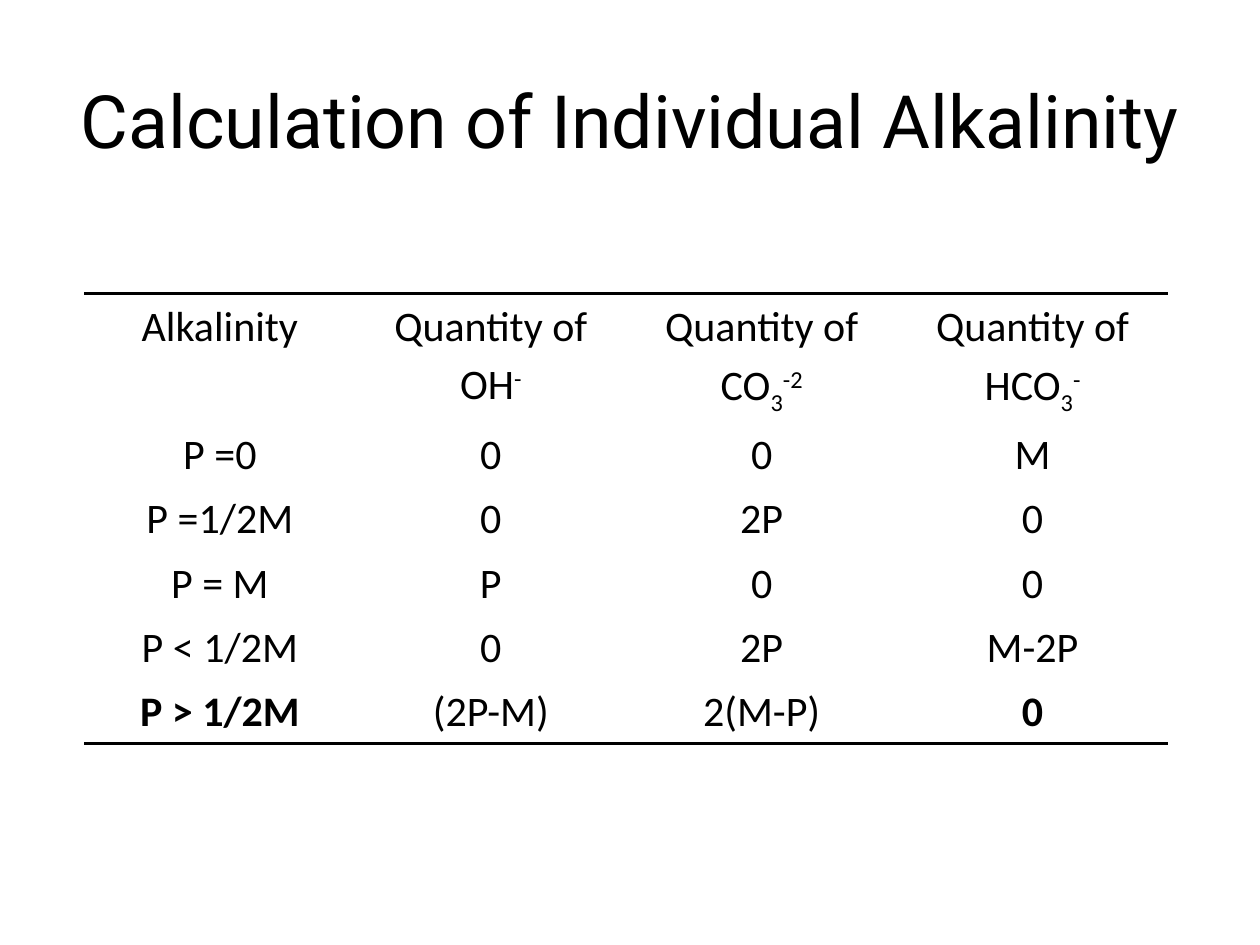
from lxml.etree import SubElement
from pptx import Presentation
from pptx.dml.color import RGBColor
from pptx.enum.text import MSO_ANCHOR as Anchor, PP_ALIGN as Align
from pptx.oxml.ns import qn
from pptx.util import Inches, Pt

BLACK = RGBColor(0, 0, 0)
WHITE = RGBColor(255, 255, 255)
WIDTH, HEIGHT = Inches(10), Inches(7.5)
COLUMN, ROW = Inches(2.15), Inches(0.51)
RULE = Pt(2)
SUB, SUPER = -25000, 30000

TITLE_FONT = {"name": "Roboto", "size": Pt(42)}
CELL_FONT = {"name": "Calibri", "size": Pt(24)}
CELL_FORMAT = {"margin_left": Inches(0.07), "margin_right": Inches(0.07),
               "margin_top": 0, "margin_bottom": 0}
TITLE_FORMAT = {"word_wrap": True, "vertical_anchor": Anchor.MIDDLE,
                "margin_left": 0, "margin_right": 0,
                "margin_top": 0, "margin_bottom": 0}
PLAIN_TABLE = {"first_row": False, "horz_banding": False}

IONS = [
    [("OH", 0), ("-", SUPER)],
    [("CO", 0), ("3", SUB), ("-2", SUPER)],
    [("HCO", 0), ("3", SUB), ("-", SUPER)],
]
CASES = [
    ["P =0", "0", "0", "M"],
    ["P =1/2M", "0", "2P", "0"],
    ["P = M", "P", "0", "0"],
    ["P < 1/2M", "0", "2P", "M-2P"],
    ["P > 1/2M", "(2P-M)", "2(M-P)", "0"],
]
BOLD_CELLS = {(5, 0), (5, 3)}


def apply(target, values):
    for name, value in values.items():
        setattr(target, name, value)


def add_span(para, text, font, baseline=0):
    span = para.add_run()
    span.text = text
    apply(span.font, font)
    span.font.color.rgb = BLACK
    if baseline:
        span.font._element.set("baseline", str(baseline))


def add_title(page, text):
    box = page.shapes.add_textbox(0, HEIGHT * 0.084, WIDTH, HEIGHT * 0.083)
    apply(box.text_frame, TITLE_FORMAT)
    para = box.text_frame.paragraphs[0]
    para.alignment = Align.CENTER
    add_span(para, text, TITLE_FONT)


def draw_borders(cell, ruled_edges):
    properties = cell._tc.get_or_add_tcPr()
    for edge in "LRTB":
        line = SubElement(properties, qn(f"a:ln{edge}"))
        if edge in ruled_edges:
            line.set("w", str(RULE))
            fill = SubElement(line, qn("a:solidFill"))
            SubElement(fill, qn("a:srgbClr")).set("val", str(BLACK))
        else:
            SubElement(line, qn("a:noFill"))


def format_cell(cell, ruled_edges):
    apply(cell, CELL_FORMAT)
    draw_borders(cell, ruled_edges)
    cell.fill.solid()
    cell.fill.fore_color.rgb = WHITE
    para = cell.text_frame.paragraphs[0]
    apply(para, {"alignment": Align.CENTER, "line_spacing": 1.15})
    return para


def fill_heading(para, ion):
    add_span(para, "Quantity of", CELL_FONT)
    para.add_line_break()
    for text, baseline in ion:
        add_span(para, text, CELL_FONT, baseline)


def add_alkalinity_table(page):
    """Add the ruled table: a heading two rows high, then one row per case."""
    rows, columns = len(CASES) + 1, len(CASES[0])
    frame = page.shapes.add_table(rows, columns, Inches(0.67), Inches(2.33),
                                  COLUMN * columns, ROW * (rows + 1))
    table = frame.table
    apply(table, PLAIN_TABLE)
    for column in table.columns:
        column.width = COLUMN
    for index, row in enumerate(table.rows):
        row.height = ROW if index else ROW * 2
        edges = {0: "T", rows - 1: "B"}.get(index, "")
        for place, cell in enumerate(row.cells):
            para = format_cell(cell, edges)
            if index:
                bold = (index, place) in BOLD_CELLS
                add_span(para, CASES[index - 1][place], CELL_FONT | {"bold": bold})
            elif place:
                fill_heading(para, IONS[place - 1])
            else:
                add_span(para, "Alkalinity", CELL_FONT)


def main():
    deck = Presentation()
    apply(deck, {"slide_width": WIDTH, "slide_height": HEIGHT})
    page = deck.slides.add_slide(deck.slide_layouts[6])
    add_title(page, "Calculation of Individual Alkalinity")
    add_alkalinity_table(page)
    deck.save("out.pptx")


if __name__ == "__main__":
    main()
